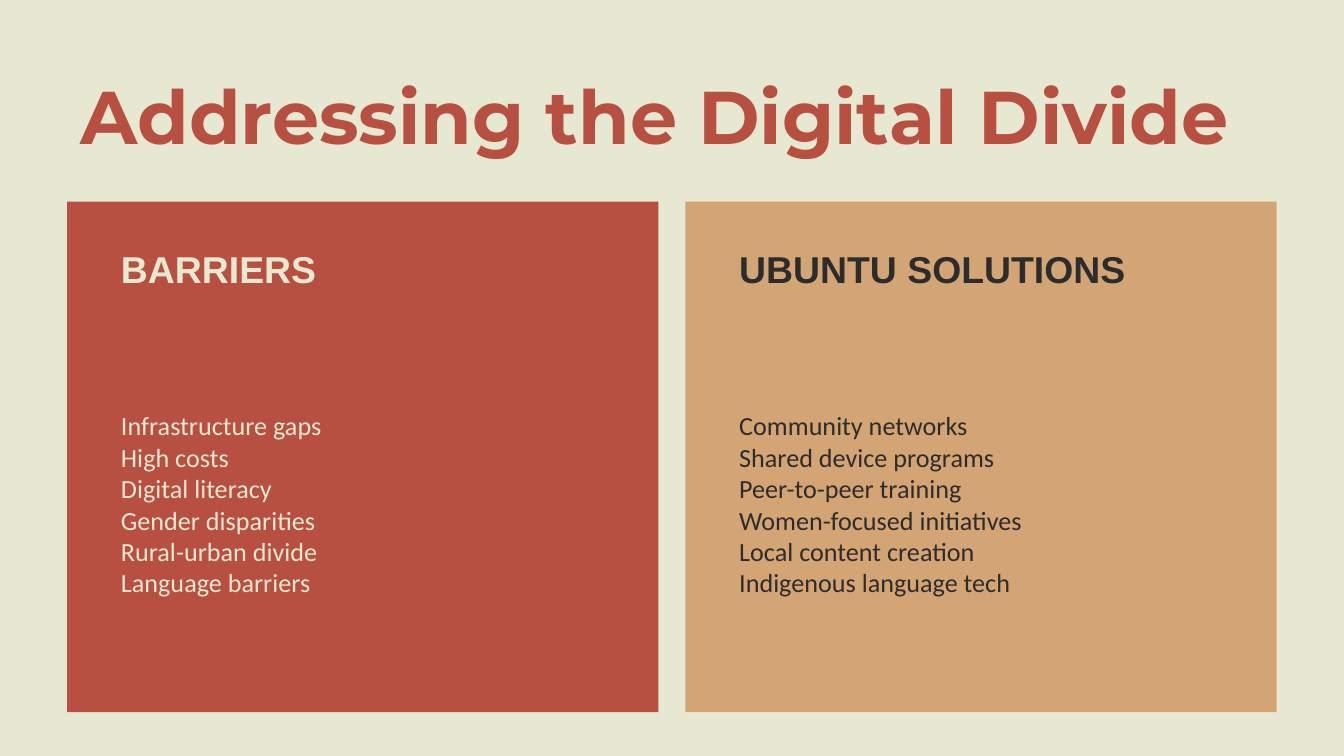
from dataclasses import dataclass

from lxml import etree
from pptx import Presentation
from pptx.dml.color import RGBColor
from pptx.enum import shapes, text
from pptx.oxml import ns
from pptx.util import Pt

CREAM, RUST, SAND, INK = "E7E8D1", "B85042", "D4A574", "2C2C2C"
EDGE, WIDE, GAP = 36, 316.8, 14.4
PAD = 21.6


@dataclass
class Font:
    name: str
    size: float
    color: str
    bold: bool = False


@dataclass
class Panel:
    fill: str
    ink: str
    head: str
    items: list[str]


PANELS = [
    Panel(RUST, CREAM, "BARRIERS", [
        "Infrastructure gaps", "High costs", "Digital literacy",
        "Gender disparities", "Rural-urban divide", "Language barriers"]),
    Panel(SAND, INK, "UBUNTU SOLUTIONS", [
        "Community networks", "Shared device programs", "Peer-to-peer training",
        "Women-focused initiatives", "Local content creation",
        "Indigenous language tech"]),
]


def paint(fill, color: str) -> None:
    fill.solid()
    fill.fore_color.rgb = RGBColor.from_string(color)


def place(shape, left: float, top: float, width: float, height: float) -> None:
    shape.left, shape.top = Pt(left), Pt(top)
    shape.width, shape.height = Pt(width), Pt(height)


def write(shape, lines: list[str], font: Font) -> None:
    frame = shape.text_frame
    frame.word_wrap = True
    frame.auto_size = text.MSO_AUTO_SIZE.NONE
    frame.vertical_anchor = text.MSO_ANCHOR.MIDDLE
    for i, line in enumerate(lines):
        para = frame.add_paragraph() if i else frame.paragraphs[0]
        para.alignment = text.PP_ALIGN.LEFT
        para.space_before = Pt(0)
        props = para._p.get_or_add_pPr()
        props.set("marL", "0")
        props.set("indent", "0")
        etree.SubElement(props, ns.qn("a:buNone"))
        run = para.add_run()
        run.text = line
        run.font.name = font.name
        run.font.size = Pt(font.size)
        run.font.bold = font.bold
        paint(run.font.fill, font.color)


def draw(slide, panel: Panel, left: float, head, body) -> None:
    card = slide.shapes.add_shape(
        shapes.MSO_SHAPE.RECTANGLE, Pt(left), Pt(108), Pt(WIDE), Pt(273.6))
    card.shadow.inherit = False
    paint(card.fill, panel.fill)
    card.line.fill.background()
    head.element.addprevious(card.element)
    inner = WIDE - 2 * PAD
    place(head, left + PAD, 129.6, inner, 28.8)
    write(head, [panel.head], Font("Arial", 20, panel.ink, True))
    place(body, left + PAD, 172.8, inner, 194.4)
    write(body, panel.items, Font("Calibri", 14, panel.ink))


def main() -> None:
    deck = Presentation()
    deck.slide_width, deck.slide_height = Pt(720), Pt(405)
    slide = deck.slides.add_slide(deck.slide_layouts.get_by_name("Comparison"))
    paint(slide.background.fill, CREAM)
    title, *slots = slide.placeholders
    place(title, EDGE, 36, 648, 50.4)
    write(title, ["Addressing the Digital Divide"],
          Font("Montserrat", 40, RUST, True))
    for i, panel in enumerate(PANELS):
        draw(slide, panel, EDGE + i * (WIDE + GAP), *slots[2 * i:2 * i + 2])
    deck.save("out.pptx")


if __name__ == "__main__":
    main()
